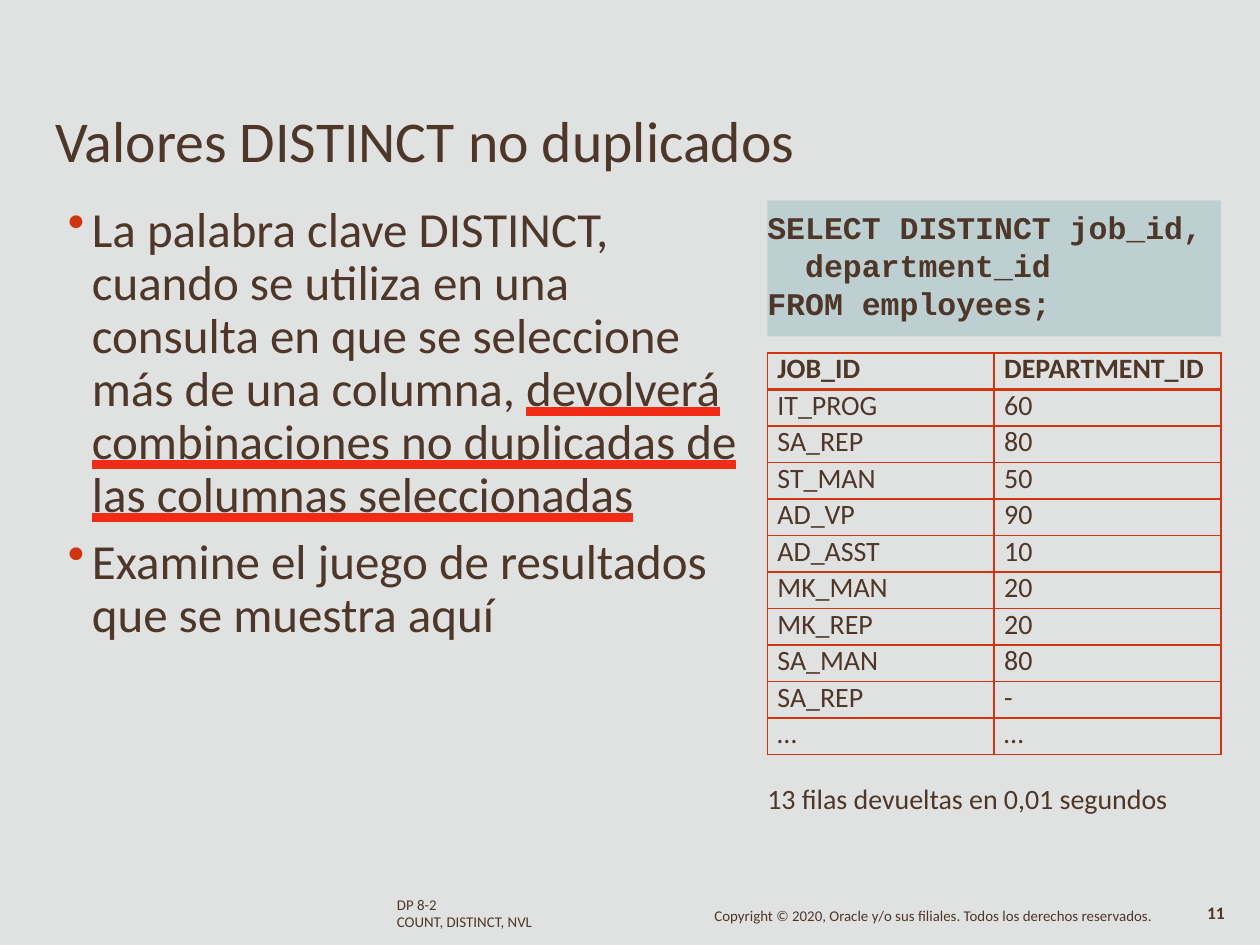
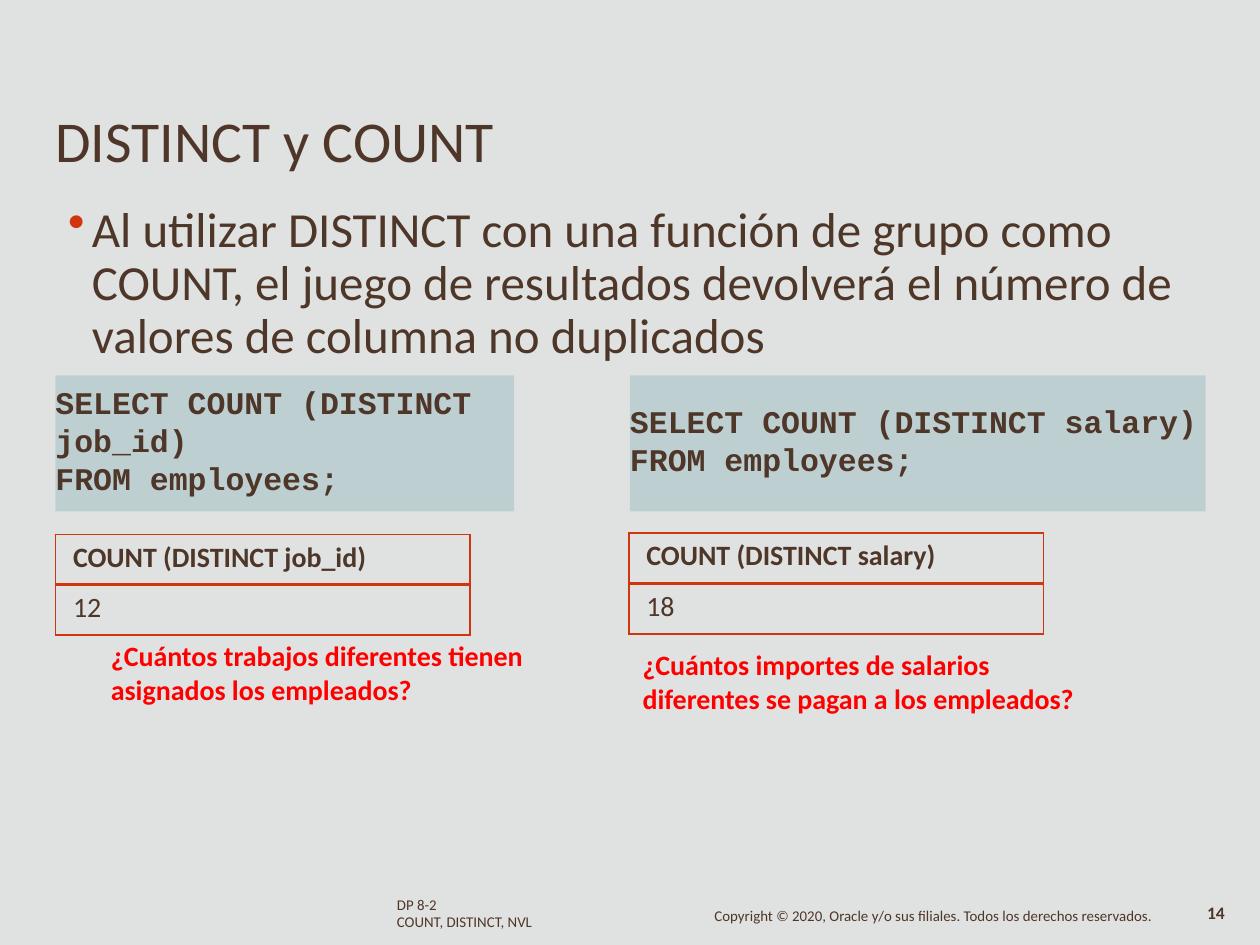
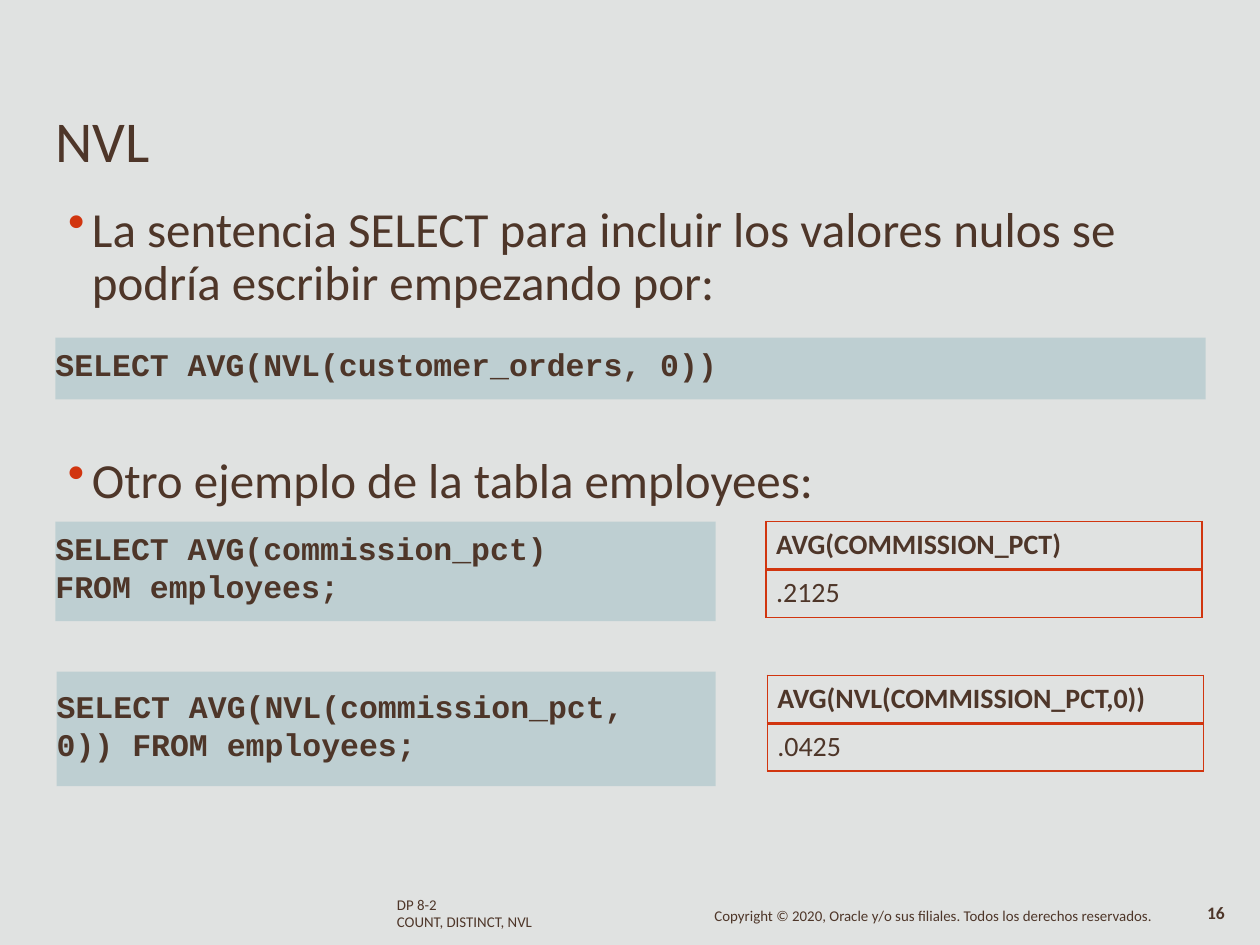
from dataclasses import dataclass
from typing import Optional, Union

from lxml import etree
from pptx import Presentation
from pptx import util as u
from pptx.dml import color
from pptx.enum import shapes, text
from pptx.oxml import ns


# Theme
@dataclass(frozen=True)
class Theme:
    background: str = "E0E2E1"
    ink: str = "4E3629"
    accent: str = "D1350F"
    question: str = "FF0000"
    underline: str = "F02B16"
    code_fill: str = "9DBEC4"
    code_opacity: int = 50000
    font: str = "Calibri"
    code_font: str = "Courier New"
    title_size: float = 33
    body_size: float = 28
    code_size: float = 18
    note_size: float = 16
    number_size: float = 10
    footer_size: float = 8.5


THEME = Theme()


# Content records
@dataclass(frozen=True)
class Area:
    left: float
    top: float
    width: float
    height: float

    def lengths(self) -> tuple:
        return tuple(u.Inches(n) for n in (self.left, self.top, self.width, self.height))


@dataclass(frozen=True)
class Span:
    text: str
    underlined: bool = False


Line = Union[str, tuple[Span, ...]]


@dataclass(frozen=True)
class TextBlock:
    area: Area
    lines: tuple[Line, ...]
    inset_top: float = 0.01


@dataclass(frozen=True)
class ResultTable:
    left: float
    top: float
    column_width: float
    row_height: float
    rows: tuple[tuple[str, ...], ...]
    indent: float = 0.08
    inset_top: float = 0.05
    line_height: Optional[float] = None


@dataclass(frozen=True)
class Page:
    title: str
    number: int
    bullets: tuple[TextBlock, ...]
    codes: tuple[TextBlock, ...]
    tables: tuple[ResultTable, ...]
    notes: tuple[TextBlock, ...] = ()
    questions: tuple[TextBlock, ...] = ()


# Drawing helpers
def add_child(parent, tag: str, **attributes: str):
    return etree.SubElement(parent, ns.qn(tag), **attributes)


def add_solid_fill(parent, rgb: str) -> None:
    add_child(add_child(parent, "a:solidFill"), "a:srgbClr", val=rgb)


def add_bullet(para) -> None:
    properties = para._p.get_or_add_pPr()
    properties.set("marL", str(u.Inches(0.2)))
    properties.set("indent", str(u.Inches(-0.19)))
    add_child(add_child(properties, "a:buClr"), "a:srgbClr", val=THEME.accent)
    add_child(properties, "a:buChar", char="•")


def underline_run(run) -> None:
    run.font.underline = text.MSO_UNDERLINE.HEAVY_LINE
    underline_fill = etree.Element(ns.qn("a:uFill"))
    add_solid_fill(underline_fill, THEME.underline)
    run._r.rPr.find(ns.qn("a:solidFill")).addnext(underline_fill)


def write_text(frame, lines: tuple[Line, ...], *, size: float, rgb: str = THEME.ink,
               font: str = THEME.font, bold: bool = False, bullet: bool = False,
               line_heights: tuple[float, ...] = (), space_between: float = 0) -> None:
    for index, line in enumerate(lines):
        para = frame.paragraphs[0] if index == 0 else frame.add_paragraph()
        if bullet:
            add_bullet(para)
        para.alignment = text.PP_ALIGN.LEFT
        if line_heights:
            para.line_spacing = u.Pt(line_heights[index % len(line_heights)])
        if index and space_between:
            para.space_before = u.Pt(space_between)
        for span in (Span(line),) if isinstance(line, str) else line:
            run = para.add_run()
            run.text = span.text
            run.font.size, run.font.bold, run.font.name = u.Pt(size), bold, font
            run.font.color.rgb = color.RGBColor.from_string(rgb)
            if span.underlined:
                underline_run(run)


def prepare_frame(frame, inset_top: float, inset_left: float = 0.01) -> None:
    frame.word_wrap = True
    frame.auto_size = text.MSO_AUTO_SIZE.NONE
    frame.vertical_anchor = text.MSO_ANCHOR.TOP
    frame.margin_left, frame.margin_top = u.Inches(inset_left), u.Inches(inset_top)
    frame.margin_right = frame.margin_bottom = 0


def draw_text(slide, block: TextBlock, **style) -> None:
    box = slide.shapes.add_textbox(*block.area.lengths())
    prepare_frame(box.text_frame, block.inset_top, 0 if style.get("bullet") else 0.01)
    write_text(box.text_frame, block.lines, **style)


def draw_title(slide, title: str) -> None:
    box = slide.shapes.title
    box.left, box.top, box.width, box.height = Area(0.43, 0.82, 5.9, 0.58).lengths()
    prepare_frame(box.text_frame, 0.01)
    write_text(box.text_frame, (title,), size=THEME.title_size)


def draw_code(slide, block: TextBlock) -> None:
    box = slide.shapes.add_shape(shapes.MSO_SHAPE.RECTANGLE, *block.area.lengths())
    box.shadow.inherit = False
    box.line.fill.background()
    box.fill.solid()
    box.fill.fore_color.rgb = color.RGBColor.from_string(THEME.code_fill)
    rgb_element = box._element.spPr.find(ns.qn("a:solidFill"))[0]
    add_child(rgb_element, "a:alpha", val=str(THEME.code_opacity))
    prepare_frame(box.text_frame, block.inset_top, 0)
    write_text(box.text_frame, block.lines, size=THEME.code_size,
               font=THEME.code_font, bold=True)


def add_borders(cell, row: int) -> None:
    properties = cell._tc.get_or_add_tcPr()
    widths = {"L": 1, "R": 1, "T": 2.25 if row == 1 else 1, "B": 2.25 if row == 0 else 1}
    for position, (side, width) in enumerate(widths.items()):
        line = etree.Element(ns.qn(f"a:ln{side}"), w=str(u.Pt(width)))
        add_solid_fill(line, THEME.accent)
        properties.insert(position, line)


def draw_table(slide, result: ResultTable) -> None:
    row_count, column_count = len(result.rows), len(result.rows[0])
    area = Area(result.left, result.top, result.column_width * column_count,
                result.row_height * row_count)
    table = slide.shapes.add_table(row_count, column_count, *area.lengths()).table
    for column in table.columns:
        column.width = u.Inches(result.column_width)
    for row, values in enumerate(result.rows):
        table.rows[row].height = u.Inches(result.row_height)
        for column, value in enumerate(values):
            cell = table.cell(row, column)
            cell.fill.background()
            cell.margin_left, cell.margin_top = u.Inches(result.indent), u.Inches(result.inset_top)
            cell.margin_right = cell.margin_bottom = 0
            write_text(cell.text_frame, (value,), size=THEME.note_size, bold=row == 0,
                       line_heights=(result.line_height,) if result.line_height else ())
            add_borders(cell, row)


def draw_footer(slide, number: int) -> None:
    draw_text(slide, TextBlock(Area(3.14, 7.13, 1.12, 0.27),
                               ("DP 8-2", "COUNT, DISTINCT, NVL"), 0),
              size=THEME.footer_size, line_heights=(8.6, 9.7))
    draw_text(slide, TextBlock(Area(9.57, 7.18, 0.21, 0.17), (str(number),), 0),
              size=THEME.number_size, bold=True, line_heights=(10.4,))
    draw_text(slide, TextBlock(
        Area(5.66, 7.21, 3.52, 0.15),
        ("Copyright © 2020, Oracle y/o sus filiales. Todos los derechos reservados.",), 0),
        size=THEME.footer_size, line_heights=(9.1,))


def draw_page(deck, page: Page) -> None:
    slide = deck.slides.add_slide(deck.slide_layouts[5])
    draw_title(slide, page.title)
    draw_footer(slide, page.number)
    for block in page.bullets:
        draw_text(slide, block, size=THEME.body_size, bullet=True,
                  line_heights=(30.3,) if block.inset_top > 0.01 else (), space_between=7.7)
    for block in page.notes:
        draw_text(slide, block, size=THEME.note_size)
    for block in page.questions:
        draw_text(slide, block, size=THEME.note_size, rgb=THEME.question, bold=True)
    for result in page.tables:
        draw_table(slide, result)
    for block in page.codes:
        draw_code(slide, block)


# Slide content
PAGES = (
    Page(
        "Valores DISTINCT no duplicados", 11,
        bullets=(TextBlock(Area(0.53, 1.55, 5.34, 3.55), (
            (Span("La palabra clave DISTINCT, cuando se utiliza en una consulta en que se "
                  "seleccione más de una columna, "),
             Span("devolverá", True), Span(" "),
             Span("combinaciones no duplicadas de", True), Span(" "),
             Span("las columnas seleccionadas", True)),
            "Examine el juego de resultados que se muestra aquí"), 0.07),),
        codes=(TextBlock(Area(6.09, 1.59, 3.6, 1.08), (
            "SELECT DISTINCT job_id,", "  department_id", "FROM employees;"), 0.06),),
        tables=(ResultTable(6.09, 2.8, 1.8, 0.29, (
            ("JOB_ID", "DEPARTMENT_ID"), ("IT_PROG", "60"), ("SA_REP", "80"),
            ("ST_MAN", "50"), ("AD_VP", "90"), ("AD_ASST", "10"), ("MK_MAN", "20"),
            ("MK_REP", "20"), ("SA_MAN", "80"), ("SA_REP", "-"), ("…", "…")),
            inset_top=0, line_height=19.1),),
        notes=(TextBlock(Area(6.08, 6.19, 3.21, 0.29),
                         ("13 filas devueltas en 0,01 segundos",)),),
    ),
    Page(
        "DISTINCT y COUNT", 14,
        bullets=(TextBlock(Area(0.53, 1.55, 8.79, 1.33), (
            "Al utilizar DISTINCT con una función de grupo como COUNT, el juego de "
            "resultados devolverá el número de valores de columna no duplicados",), 0.07),),
        codes=(
            TextBlock(Area(0.44, 2.98, 3.64, 1.08), (
                "SELECT COUNT (DISTINCT", "job_id)", "FROM employees;"), 0.06),
            TextBlock(Area(5, 2.98, 4.57, 1.08), (
                "SELECT COUNT (DISTINCT salary)", "FROM employees;"), 0.21),
        ),
        tables=(
            ResultTable(0.44, 4.24, 3.29, 0.4, (("COUNT (DISTINCT job_id)",), ("12",)), 0.14),
            ResultTable(4.99, 4.23, 3.29, 0.4, (("COUNT (DISTINCT salary)",), ("18",)), 0.14),
        ),
        questions=(
            TextBlock(Area(0.87, 5.06, 3.31, 0.56), (
                "¿Cuántos trabajos diferentes tienen asignados los empleados?",)),
            TextBlock(Area(5.09, 5.13, 3.46, 0.56), (
                "¿Cuántos importes de salarios diferentes se pagan a los empleados?",)),
        ),
    ),
    Page(
        "NVL", 16,
        bullets=(
            TextBlock(Area(0.53, 1.55, 8.35, 0.91), (
                "La sentencia SELECT para incluir los valores nulos se podría escribir "
                "empezando por:",), 0.07),
            TextBlock(Area(0.53, 3.56, 5.94, 0.49), ("Otro ejemplo de la tabla employees:",)),
        ),
        codes=(
            TextBlock(Area(0.44, 2.68, 9.13, 0.49),
                      ("SELECT AVG(NVL(customer_orders, 0))",), 0.06),
            TextBlock(Area(0.44, 4.14, 5.24, 0.79),
                      ("SELECT AVG(commission_pct)", "FROM employees;"), 0.06),
            TextBlock(Area(0.45, 5.33, 5.23, 0.91),
                      ("SELECT AVG(NVL(commission_pct,", "0)) FROM employees;"), 0.12),
        ),
        tables=(
            ResultTable(6.08, 4.14, 3.46, 0.38, (("AVG(COMMISSION_PCT)",), (".2125",))),
            ResultTable(6.09, 5.36, 3.46, 0.38, (("AVG(NVL(COMMISSION_PCT,0))",), (".0425",))),
        ),
    ),
)


def main() -> None:
    deck = Presentation()
    deck.slide_width, deck.slide_height = u.Inches(10), u.Inches(7.5)
    background = deck.slide_master.background.fill
    background.solid()
    background.fore_color.rgb = color.RGBColor.from_string(THEME.background)
    for page in PAGES:
        draw_page(deck, page)
    deck.save("out.pptx")


if __name__ == "__main__":
    main()
